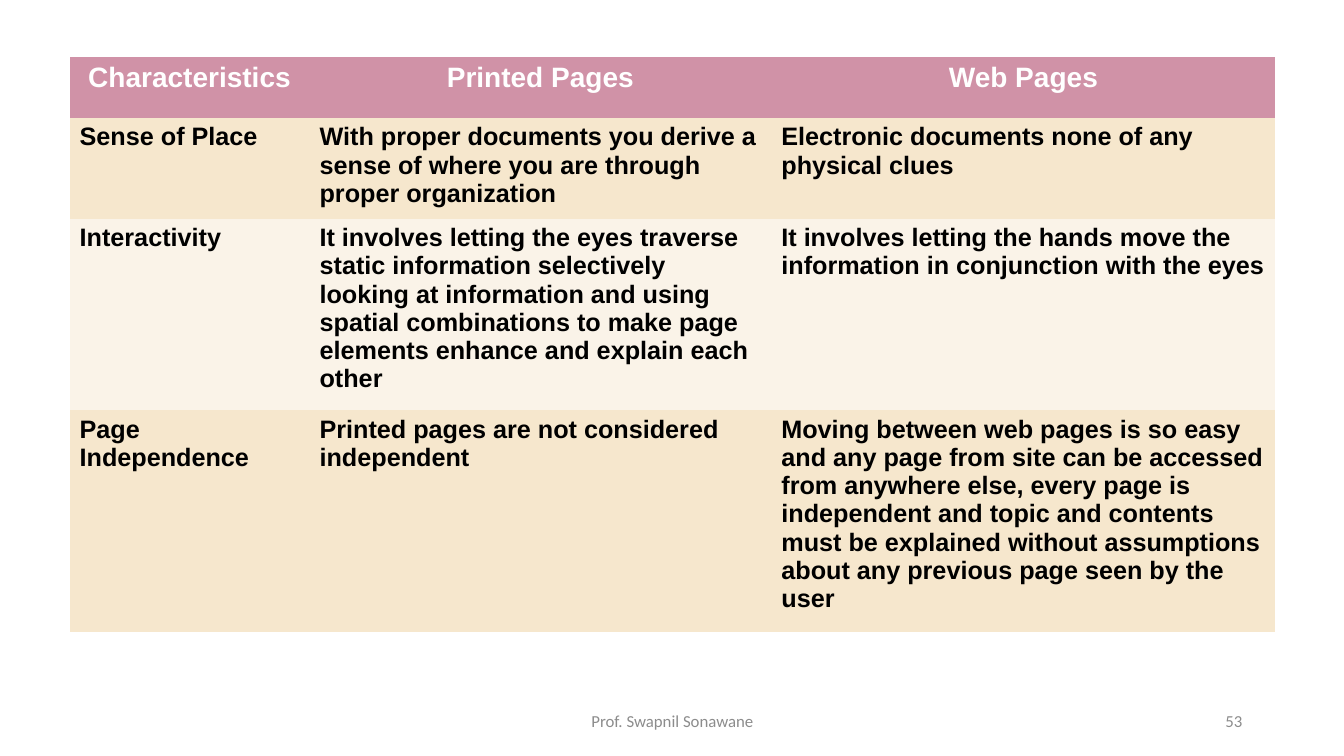
from pptx import Presentation
from pptx.dml.color import RGBColor
from pptx.enum import text
from pptx.util import Inches, Pt

HEADINGS = ["Characteristics", "Printed Pages", "Web Pages"]
COMPARISONS = [
    ["Sense of Place",
     "With proper documents you derive a sense of where you are through "
     "proper organization",
     "Electronic documents none of any physical clues"],
    ["Interactivity",
     "It involves letting the eyes traverse static information selectively "
     "looking at information and using spatial combinations to make page "
     "elements enhance and explain each other",
     "It involves letting the hands move the information in conjunction "
     "with the eyes"],
    ["Page Independence",
     "Printed pages are not considered independent",
     "Moving between web pages is so easy and any page from site can be "
     "accessed from anywhere else, every page is independent and topic and "
     "contents must be explained without assumptions about any previous page "
     "seen by the user"],
]


def color(hex_code):
    return RGBColor.from_string(hex_code)


class SlideBuilder:
    """Holds the slide style and the current slide."""
    TABLE_FONT, FOOTER_FONT = "Arial", "Calibri"
    HEADER_FILL, BAND_FILLS = "D092A7", ("F6E7CD", "FAF3E8")
    HEADER_TEXT, BODY_TEXT, FOOTER_TEXT = "FFFFFF", "000000", "8C8C8C"

    def __init__(self, slide):
        self.slide = slide

    def style(self, paragraph, font_name, size, hex_code, bold, align):
        paragraph.alignment = align
        font = paragraph.font
        font.name, font.size, font.bold = font_name, Pt(size), bold
        font.color.rgb = color(hex_code)

    def footer(self, wording, left, width, align):
        box = self.slide.shapes.add_textbox(
            Inches(left), Inches(6.95), Inches(width), Inches(0.4))
        frame = box.text_frame
        frame.word_wrap = True
        frame.vertical_anchor = text.MSO_ANCHOR.MIDDLE
        frame.text = wording
        self.style(frame.paragraphs[0], self.FOOTER_FONT, 12,
                   self.FOOTER_TEXT, False, align)

    def cell(self, cell, wording, fill, size, hex_code, align):
        cell.fill.solid()
        cell.fill.fore_color.rgb = color(fill)
        cell.text = wording
        self.style(cell.text_frame.paragraphs[0], self.TABLE_FONT, size,
                   hex_code, True, align)

    def table(self, rows, left, top, widths, heights):
        table = self.slide.shapes.add_table(
            len(rows), len(widths), Inches(left), Inches(top),
            Inches(sum(widths)), Inches(sum(heights))).table
        # The plain cell fills replace the banded style and its white rules
        style_id = table._tbl.tblPr.find(
            "{http://schemas.openxmlformats.org/drawingml/2006/main}tableStyleId")
        style_id.text = "{2D5ABB26-0587-4C30-8999-92F81FD0307C}"
        table.horz_banding = False
        for column, width in zip(table.columns, widths):
            column.width = Inches(width)
        for r, (row, height) in enumerate(zip(rows, heights)):
            table.rows[r].height = Inches(height)
            if r == 0:
                look = (self.HEADER_FILL, 20, self.HEADER_TEXT,
                        text.PP_ALIGN.CENTER)
            else:
                look = (self.BAND_FILLS[(r - 1) % 2], 18, self.BODY_TEXT,
                        text.PP_ALIGN.LEFT)
            for c, wording in enumerate(row):
                self.cell(table.cell(r, c), wording, *look)


def main():
    prs = Presentation()
    prs.slide_width, prs.slide_height = Inches(13.33), Inches(7.5)
    builder = SlideBuilder(prs.slides.add_slide(prs.slide_layouts[6]))

    # Footer and page number
    builder.footer("Prof. Swapnil Sonawane", 4.42, 4.5, text.PP_ALIGN.CENTER)
    builder.footer("53", 9.42, 3, text.PP_ALIGN.RIGHT)

    # Comparison of printed and web pages
    builder.table([HEADINGS] + COMPARISONS, 0.69, 0.57,
                  widths=[2.38, 4.58, 5], heights=[0.6, 0.94, 1.78, 2.06])

    prs.save("out.pptx")


if __name__ == "__main__":
    main()
